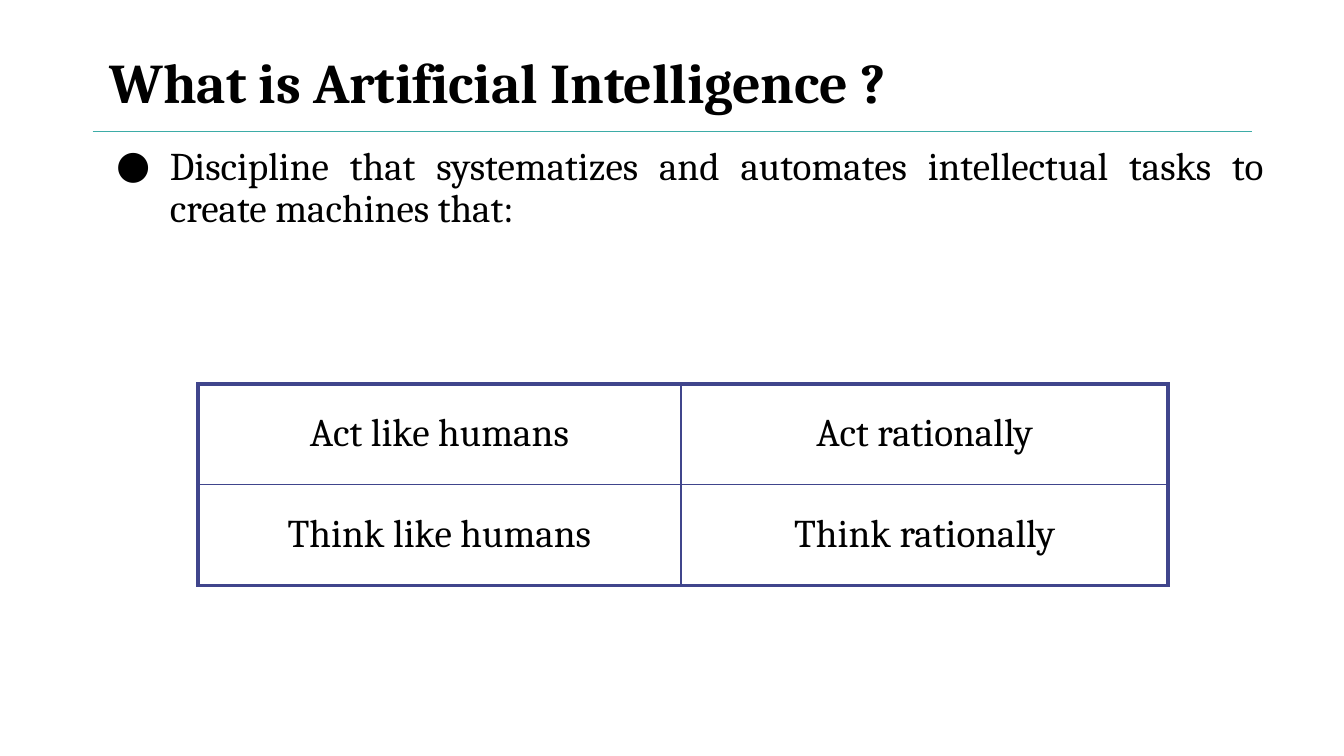
"""Build a slide that defines artificial intelligence with a two by two table."""
import pptx
import pptx.util
import pptx.dml.color
import pptx.enum.shapes
import pptx.enum.text
import pptx.oxml
import pptx.oxml.ns

HUES = {"ink": "000000", "rule": "3DACA7", "grid": "40458C", "page": "FFFFFF"}
FONT = "Cambria"
ALIGN = pptx.enum.text.PP_ALIGN
ANCHOR = pptx.enum.text.MSO_ANCHOR
NS = pptx.oxml.ns.nsdecls("a")


def hue(name):
    return pptx.dml.color.RGBColor.from_string(HUES[name])


def node(xml):
    return pptx.oxml.parse_xml(xml)


def write(frame, text, size=21, bold=False, align=ALIGN.LEFT, space=None, dot=None):
    para = frame.paragraphs[0]
    para.text = text
    para.alignment = align
    if space:
        para.line_spacing = space
    if dot:
        props = para._p.get_or_add_pPr()
        props.set("marL", str(pptx.util.Inches(0.5)))
        props.set("indent", str(pptx.util.Inches(-0.4)))
        props.append(node(f'<a:buClr {NS}><a:srgbClr val="{HUES["ink"]}"/></a:buClr>'))
        props.append(node(f'<a:buFont {NS} typeface="{FONT}"/>'))
        props.append(node(f'<a:buChar {NS} char="{dot}"/>'))
    font = para.runs[0].font
    font.name = FONT
    font.size = pptx.util.Pt(size)
    font.bold = bold
    font.color.rgb = hue("ink")


class Deck:
    """Hold the style and the slide, measured in a grid of 100 columns and 56.25 rows."""

    def __init__(self):
        self.file = pptx.Presentation()
        self.file.slide_width = pptx.util.Inches(10)
        self.file.slide_height = self.file.slide_width * 9 // 16
        self.slide = self.file.slides.add_slide(self.file.slide_layouts[6])
        fill = self.slide.background.fill
        fill.solid()
        fill.fore_color.rgb = hue("page")

    def col(self, count):
        return round(self.file.slide_width * count / 100)

    def row(self, count):
        return round(self.file.slide_height * count / 56.25)

    def area(self, left, top, width, height):
        return self.col(left), self.row(top), self.col(width), self.row(height)

    def text(self, box, words, pad, **form):
        frame = self.slide.shapes.add_textbox(*self.area(*box)).text_frame
        frame.word_wrap = True
        frame.margin_left = frame.margin_right = self.col(pad[0])
        frame.margin_top = frame.margin_bottom = self.row(pad[1])
        write(frame, words, **form)

    def rule(self, left, right, top):
        line = self.slide.shapes.add_connector(
            pptx.enum.shapes.MSO_CONNECTOR.STRAIGHT,
            self.col(left), self.row(top), self.col(right), self.row(top))
        line.line.color.rgb = hue("rule")
        line.line.width = pptx.util.Pt(0.75)
        line._element.spPr.append(node(f"<a:effectLst {NS}/>"))

    def edge(self, cell, sides):
        props = cell._tc.get_or_add_tcPr()
        for spot, (side, outer) in enumerate(sides.items()):
            width = pptx.util.Pt(2.25 if outer else 0.75)
            props.insert(spot, node(
                f'<a:ln{side} {NS} w="{width}"><a:solidFill>'
                f'<a:srgbClr val="{HUES["grid"]}"/></a:solidFill></a:ln{side}>'))

    def table(self, box, rows, widths):
        high, wide = len(rows), len(widths)
        grid = self.slide.shapes.add_table(high, wide, *self.area(*box)).table
        grid.first_row = grid.horz_banding = False
        for column, width in zip(grid.columns, widths):
            column.width = self.col(width)
        for y, words in enumerate(rows):
            for x, word in enumerate(words):
                cell = grid.cell(y, x)
                cell.fill.background()
                cell.vertical_anchor = ANCHOR.MIDDLE
                write(cell.text_frame, word, align=ALIGN.CENTER, space=0.9)
                self.edge(cell, {"L": x == 0, "R": x == wide - 1,
                                 "T": y == 0, "B": y == high - 1})

    def save(self):
        self.file.save("out.pptx")


def main():
    deck = Deck()
    deck.rule(6.9, 93.15, 9.8)
    deck.text((6.94, 10.5, 87.8, 39.4),
              "Discipline that systematizes and automates intellectual tasks "
              "to create machines that:",
              (0.7, 0.4), align=ALIGN.JUSTIFY, space=0.9, dot="●")
    deck.text((7.16, 2.54, 86.2, 6.3), "What is Artificial Intelligence ?",
              (1, 1), size=30, bold=True)
    rows = [["Act like humans", "Act rationally"],
            ["Think like humans", "Think rationally"]]
    deck.table((14.72, 28.56, 72.2, 15), rows, (35.95, 36.25))
    deck.save()


if __name__ == "__main__":
    main()
